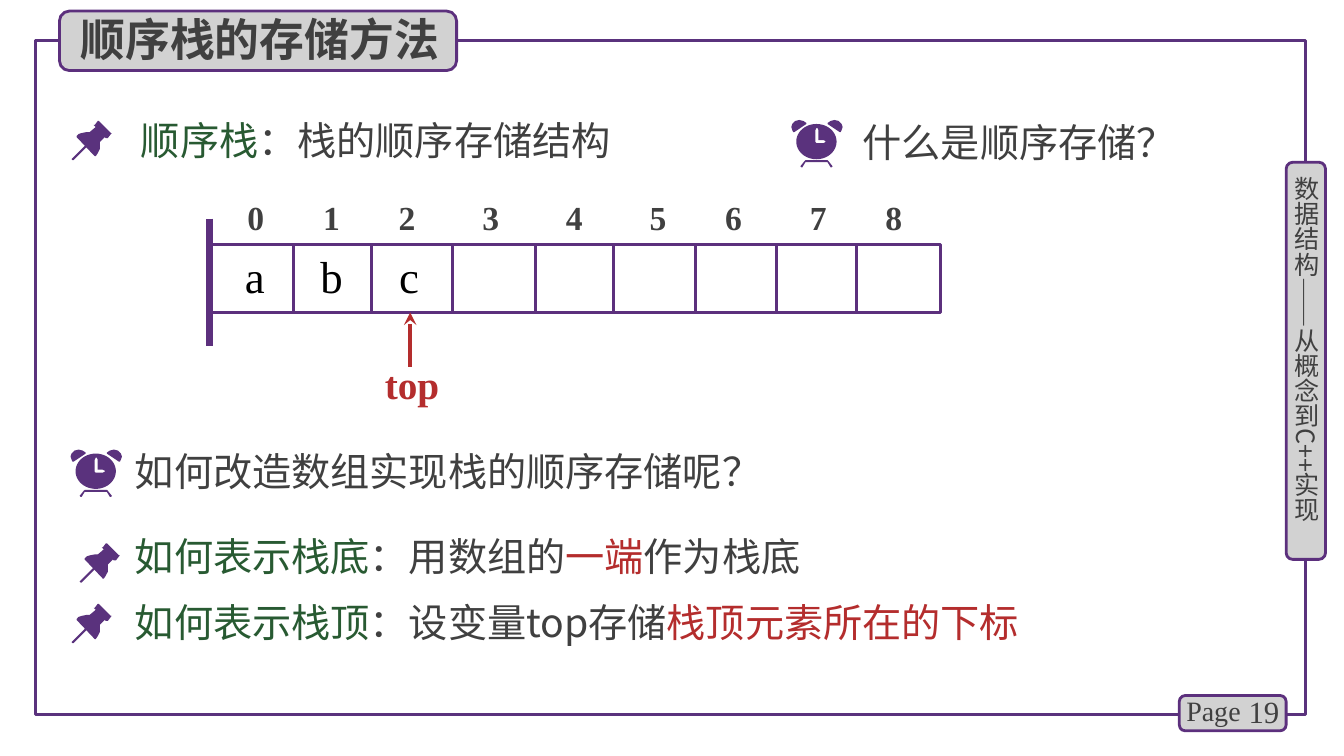
from math import cos, pi, sin

from lxml.etree import SubElement
from pptx import Presentation
from pptx.dml.color import RGBColor
from pptx.enum.shapes import MSO_CONNECTOR as Connector, MSO_SHAPE as Shape
from pptx.enum.text import MSO_ANCHOR as Anchor, MSO_AUTO_SIZE as AutoSize, PP_ALIGN as Align
from pptx.oxml.ns import qn
from pptx.util import Pt

PX = 9144  # 100 px to the inch

PURPLE = RGBColor(0x5C, 0x30, 0x7D)
ICON_PURPLE = RGBColor(0x5A, 0x32, 0x7D)
PLATE_GRAY = RGBColor(0xD2, 0xD2, 0xD2)
GRAY = RGBColor(0x40, 0x40, 0x40)
GREEN = RGBColor(0x28, 0x5A, 0x32)
RED = RGBColor(0xB4, 0x2D, 0x2D)
BLACK = RGBColor(0, 0, 0)

SANS = "Noto Sans CJK SC"
SERIF = "Times New Roman"

PIN_HEAD = [(39, 12), (27, 0), (26, 0), (23, 4), (22, 4), (24, 6), (18, 11), (15, 11),
            (10, 12), (7, 13), (5, 15), (5, 16), (23, 35), (24, 35), (26, 32), (28, 28),
            (28, 25), (28, 21), (33, 16), (34, 17), (36, 17), (39, 13), (40, 12)]
PIN_NEEDLE = [(2, 39), (1, 39), (0, 38), (1, 37), (14, 24), (15, 23), (16, 24), (15, 26)]
CLOCK_FEET = [(41, 46), (37, 41), (36, 40), (14, 40), (13, 41), (9, 46), (10, 47),
              (11, 47), (14, 42), (36, 42), (39, 47), (40, 47)]
CLOCK_BELL = [(8, 0), (4, 1), (1, 4), (0, 7), (1, 10), (2, 12), (3, 12), (15, 4),
              (15, 3), (12, 1)]
CLOCK_HANDS = [(32, 23), (25, 23), (24, 22), (24, 10), (25, 8), (26, 8), (27, 10),
               (27, 20), (32, 20), (34, 21), (34, 22)]
CLOCK_WIDTH = 51

CELL_EDGES = [82, 160, 240, 322, 400, 481, 561, 641]
INDEX_CENTERS = [33, 108, 183, 266, 349, 432, 507, 591, 666]
ITEM_CENTERS = [86, 163]


def emu(*lengths):
    return [round(length * PX) for length in lengths]


def add_text(page, box, spans, size, font=SANS, bold=False, align=Align.LEFT, tabs=(),
             grow=True):
    """Add one paragraph made of (text, colour) spans."""
    shape = page.shapes.add_textbox(*emu(*box))
    frame = shape.text_frame
    frame.word_wrap = True
    frame.auto_size = AutoSize.SHAPE_TO_FIT_TEXT if grow else AutoSize.NONE
    para = frame.paragraphs[0]
    para.alignment = align
    if tabs:
        tab_list = SubElement(para._p.get_or_add_pPr(), qn("a:tabLst"))
        for stop in tabs:
            SubElement(tab_list, qn("a:tab"), pos=str(stop * PX), algn="ctr")
    for text, color in spans:
        span = para.add_run()
        span.text = text
        for name, value in {"name": font, "size": Pt(size), "bold": bold}.items():
            setattr(span.font, name, value)
        span.font.color.rgb = color
        SubElement(span._r.get_or_add_rPr(), qn("a:ea"), typeface=font)
    return frame


def add_box(page, kind, box, color, width, fill=None):
    shape = page.shapes.add_shape(kind, *emu(*box))
    shape.shadow.inherit = False
    shape.line.color.rgb = color
    shape.line.width = Pt(width)
    if fill is None:
        shape.fill.background()
    else:
        shape.fill.solid()
        shape.fill.fore_color.rgb = fill


def add_plate(page, box):
    add_box(page, Shape.ROUNDED_RECTANGLE, box, PURPLE, 2, PLATE_GRAY)


def add_line(page, start, end, color, width, arrow=False):
    line = page.shapes.add_connector(Connector.STRAIGHT, *emu(*start, *end))
    line.line.color.rgb = color
    line.line.width = Pt(width)
    if arrow:
        SubElement(line.line._get_or_add_ln(), qn("a:tailEnd"), type="stealth")
    SubElement(line._element.spPr, qn("a:effectLst"))


def add_outline(shapes, left, top, *contours):
    """Add one filled shape; a second contour cuts a hole."""
    first, *holes = [[emu(left + x, top + y) for x, y in points] for points in contours]
    builder = shapes.build_freeform(*first[0])
    builder.add_line_segments(first[1:], close=True)
    for hole in holes:
        builder.move_to(*hole[0])
        builder.add_line_segments(hole[1:], close=True)
    shape = builder.convert_to_shape()
    shape.shadow.inherit = False
    shape.fill.solid()
    shape.fill.fore_color.rgb = ICON_PURPLE
    shape.line.fill.background()


def add_pin(page, left, top):
    shapes = page.shapes.add_group_shape().shapes
    for points in (PIN_HEAD, PIN_NEEDLE):
        add_outline(shapes, left, top, points)


def add_clock(page, left, top):
    shapes = page.shapes.add_group_shape().shapes
    other_bell = [(CLOCK_WIDTH - x, y) for x, y in CLOCK_BELL]
    for points in (CLOCK_FEET, CLOCK_BELL, other_bell):
        add_outline(shapes, left, top, points)
    angles = [step * pi / 24 for step in range(48)]
    face = [(25 + 20 * cos(angle), 21.5 + 17.5 * sin(angle)) for angle in angles]
    add_outline(shapes, left, top, face, CLOCK_HANDS)


def add_page_frame(page, left, top, width, height):
    """Add the border with the page number and the book title on its edges."""
    right, bottom = left + width, top + height
    add_box(page, Shape.RECTANGLE, (left, top, width, height), ICON_PURPLE, 2.25)
    add_plate(page, (right - 125, bottom - 19, 106, 35))
    number = add_text(page, (right - 75, bottom - 23, 59, 40), [("19", GRAY)], 22, SERIF,
                      align=Align.RIGHT, grow=False)
    number.vertical_anchor = Anchor.MIDDLE
    add_text(page, (right - 128, bottom - 26, 78, 44), [("Page", GRAY)], 20, SERIF)
    add_plate(page, (right - 19, top + 121, 39, 394))
    book = add_text(page, (right - 14, top + 135, 30, 378),
                    [("数据结构——从概念到C++实现", GRAY)], 18)
    for side in ("left", "top", "right", "bottom"):
        setattr(book, f"margin_{side}", 0)
    book._txBody.bodyPr.set("vert", "eaVert")


def add_title(page, left, top, width, height):
    add_plate(page, (left, top, width, height))
    add_text(page, (left + 11, top - 4, width - 12, height + 5),
             [("顺序栈的存储方法", GRAY)], 32, bold=True)


def add_stack(page, left, top, width, height):
    """Add the array cells with indices, items, stack bottom and top arrow."""
    bottom = top + height
    indices = "".join(f"\t{index}" for index in range(len(INDEX_CENTERS)))
    add_text(page, (left + 2, top - 53, 733, 50), [(indices, GRAY)], 24, SERIF, True,
             tabs=INDEX_CENTERS)
    add_box(page, Shape.RECTANGLE, (left, top, width, height), PURPLE, 2.25)
    for edge in CELL_EDGES:
        add_line(page, (left + edge, top), (left + edge, bottom), PURPLE, 2.25)
    add_line(page, (left - 1, top - 26), (left - 1, bottom + 33), PURPLE, 4.5)
    add_line(page, (left + 198, bottom + 54), (left + 198, bottom), RED, 3, arrow=True)
    add_text(page, (left + 163, bottom + 43, 79, 57), [("top", RED)], 28, SERIF, True)
    add_text(page, (left + 24, top - 1, 381, 64), [("a\tb\tc", BLACK)], 32, SERIF,
             tabs=ITEM_CENTERS)


def add_point(page, box, add_icon, icon_offset, spans):
    """Add a text line and its icon, offset from the line's corner."""
    left, top = box[:2]
    add_text(page, box, spans, 28)
    add_icon(page, left + icon_offset[0], top + icon_offset[1])


def main():
    deck = Presentation()
    deck.slide_width, deck.slide_height = emu(1333.33, 750)
    page = deck.slides.add_slide(deck.slide_layouts[6])
    add_page_frame(page, 35, 40, 1260, 669)
    add_title(page, 59, 11, 394, 59)
    add_point(page, (130, 110, 592, 57), add_pin, (-59, 10),
              [("顺序栈", GREEN), ("：栈的顺序存储结构", GRAY)])
    add_point(page, (846, 112, 379, 57), add_clock, (-61, 7), [("什么是顺序存储？", GRAY)])
    add_stack(page, 209, 243, 724, 67)
    add_point(page, (124, 439, 656, 57), add_clock, (-54, 7),
              [("如何改造数组实现栈的顺序存储呢？", GRAY)])
    add_point(page, (124, 523, 1130, 57), add_pin, (-45, 16),
              [("如何表示栈底", GREEN), ("：用数组的", GRAY), ("一端", RED), ("作为栈底", GRAY)])
    add_point(page, (124, 589, 1016, 57), add_pin, (-53, 10),
              [("如何表示栈顶", GREEN), ("：设变量top存储", GRAY), ("栈顶元素所在的下标", RED)])
    deck.save("out.pptx")


if __name__ == "__main__":
    main()
